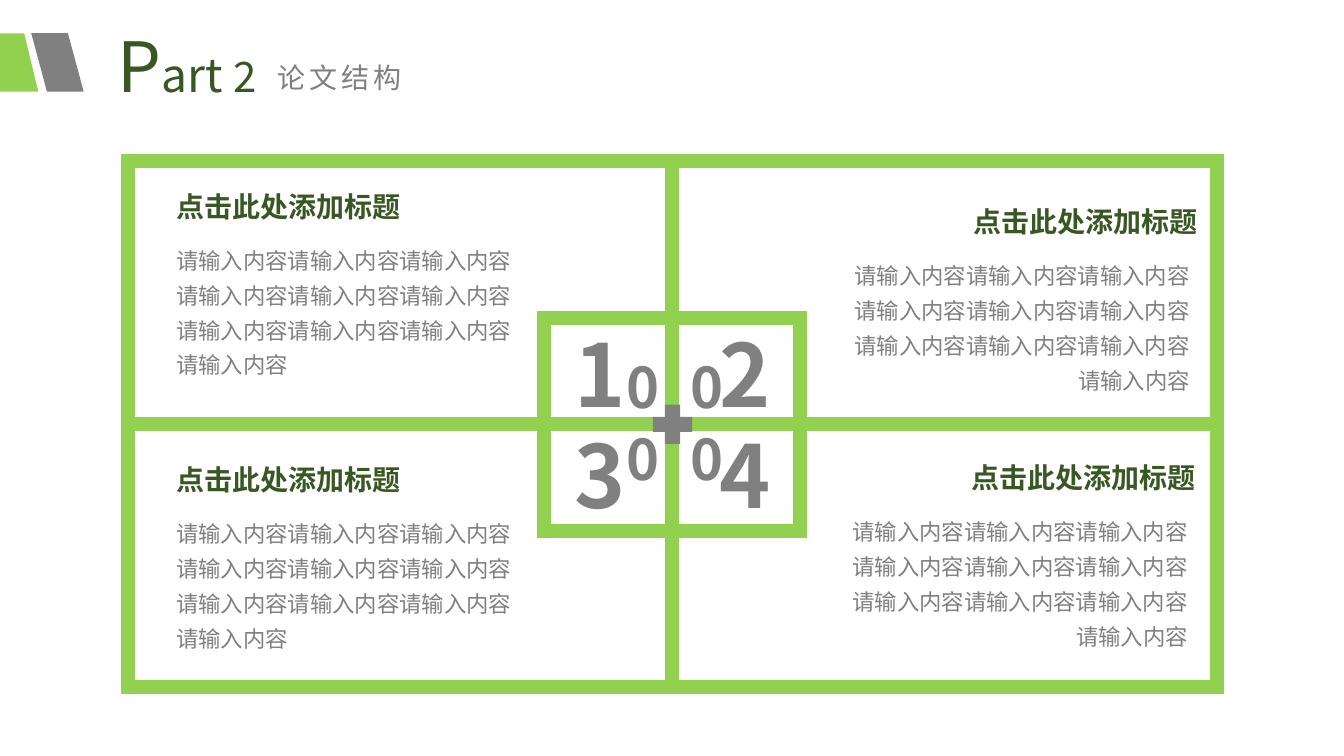
from lxml.etree import SubElement
from pptx import Presentation
from pptx.dml.color import RGBColor as RGB
from pptx.enum.shapes import MSO_SHAPE as Kind
from pptx.enum.text import MSO_ANCHOR as Anchor, MSO_AUTO_SIZE as Auto, PP_ALIGN as Align
from pptx.oxml.ns import qn
from pptx.util import Inches, Pt

# Content
TITLE = [("P", "initial"), ("art ", "word"), ("2", "number")]
TOPIC = "论文结构"
HEAD = "点击此处添加标题"
FILLER = "请输入内容"
BODY = [FILLER * 3] * 3 + [FILLER]
PANELS = [  # left, top, alignment
    (1.65, 1.83, Align.LEFT),
    (8.23, 1.98, Align.RIGHT),
    (1.65, 4.54, Align.LEFT),
    (8.21, 4.52, Align.RIGHT),
]
DIGITS = ["1", "2", "3", "4"]

THEME = {
    "font": "Noto Sans CJK SC",
    "green": RGB.from_string("92D050"),
    "dark": RGB.from_string("385723"),
    "gray": RGB.from_string("808080"),
    "border": Pt(10),
}
STYLES = {  # size, colour, bold
    "initial": (49.5, "dark", False),
    "word": (33, "dark", False),
    "number": (30, "dark", False),
    "topic": (20, "gray", False),
    "head": (20, "dark", True),
    "body": (16, "gray", False),
    "zero": (40, "gray", True),
    "digit": (62, "gray", True),
}

# Grid, in inches
LEFT, TOP, CELL_W, CELL_H = 1.27, 1.6, 5.4, 2.61
MID_X, MID_Y = LEFT + CELL_W, TOP + CELL_H
HUB_W, HUB_H = 2.54, 2.11
BAR_W, BAR_H = 0.15, 0.39
ZERO_X, ZERO_Y = (6.12, 6.75), (3.45, 4.16)
DIGIT_X, DIGIT_Y = (5.6, 7.04), (3.13, 4.13)

deck = Presentation()
deck.slide_width, deck.slide_height = Inches(13.33), Inches(7.5)
slide = deck.slides.add_slide(deck.slide_layouts[5])
shapes = slide.shapes


def add_run(para, text, style):
    run = para.add_run()
    run.text = text
    size, color, bold = STYLES[style]
    for name, value in {"name": THEME["font"], "size": Pt(size), "bold": bold}.items():
        setattr(run.font, name, value)
    run.font.color.rgb = THEME[color]
    SubElement(run.font._element, qn("a:ea"), typeface=THEME["font"])
    return run


def set_frame(frame):
    for name, value in {"word_wrap": True, "auto_size": Auto.NONE, "vertical_anchor": Anchor.TOP}.items():
        setattr(frame, name, value)


def add_text(box, lines, style, align=Align.LEFT, spacing=1.0):
    """Add a text box and return its last run."""
    frame = shapes.add_textbox(*map(Inches, box)).text_frame
    set_frame(frame)
    for i, line in enumerate(lines):
        para = frame.add_paragraph() if i else frame.paragraphs[0]
        para.alignment, para.line_spacing = align, spacing
        run = add_run(para, line, style)
    return run


def paint(shape, color):
    shape.shadow.inherit = False
    shape.fill.solid()
    shape.fill.fore_color.rgb = THEME[color]
    shape.line.fill.background()


def add_frame(*box):
    shape = shapes.add_shape(Kind.RECTANGLE, *map(Inches, box))
    shape.shadow.inherit = False
    shape.fill.background()
    shape.line.color.rgb = THEME["green"]
    shape.line.width = THEME["border"]
    SubElement(shape.line._ln, qn("a:miter"), lim="800000")


# Heading
title = shapes.title
title.left, title.top, title.width, title.height = map(Inches, (1.07, 0.18, 3.17, 0.93))
set_frame(title.text_frame)
para = title.text_frame.paragraphs[0]
para.alignment = Align.LEFT
for text, style in TITLE:
    add_run(para, text, style)
topic = add_text((2.65, 0.55, 1.95, 0.44), [TOPIC], "topic")
topic.font._element.set("spc", "300")

# Slanted tabs
pen = shapes.build_freeform(0, 33, scale=Inches(0.01))
pen.add_line_segments([(24, 33), (38, 91), (0, 91)], close=True)
paint(pen.convert_to_shape(), "green")
tab = shapes.add_shape(Kind.PARALLELOGRAM, *map(Inches, (0.31, 0.33, 0.52, 0.58)))
tab.adjustments[0] = 0.3
tab.element.spPr.find(qn("a:xfrm")).set("flipV", "1")
paint(tab, "gray")

# Four panels around the hub
for i in range(len(PANELS)):
    row, col = divmod(i, 2)
    add_frame(LEFT + col * CELL_W, TOP + row * CELL_H, CELL_W, CELL_H)
add_frame(MID_X - HUB_W / 2, MID_Y - HUB_H / 2, HUB_W, HUB_H)
for i, ((x, y, align), digit) in enumerate(zip(PANELS, DIGITS)):
    row, col = divmod(i, 2)
    add_text((x, y, 3.75, 0.44), [HEAD], "head", align)
    add_text((x, y + 0.49, 3.67, 1.5), BODY, "body", align, 1.3)
    add_text((ZERO_X[col], ZERO_Y[row], 0.55, 0.77), ["0"], "zero")
    add_text((DIGIT_X[col], DIGIT_Y[row], 0.7, 1.13), [digit], "digit", Align.CENTER)

# Plus sign
for turn in (0, 90):
    box = (MID_X - BAR_W / 2, MID_Y - BAR_H / 2, BAR_W, BAR_H)
    bar = shapes.add_shape(Kind.RECTANGLE, *map(Inches, box))
    bar.rotation = turn
    paint(bar, "gray")

deck.save("out.pptx")
